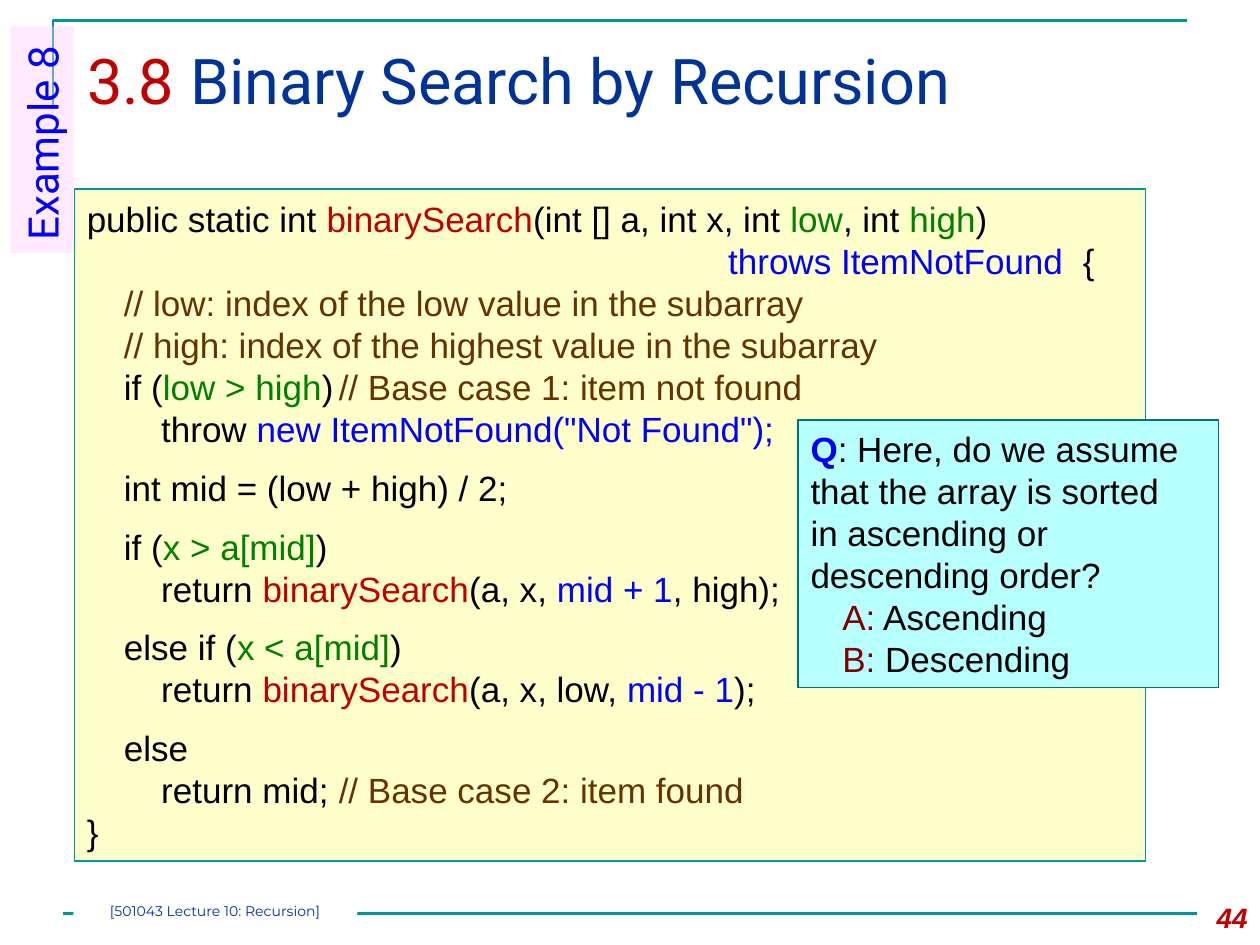
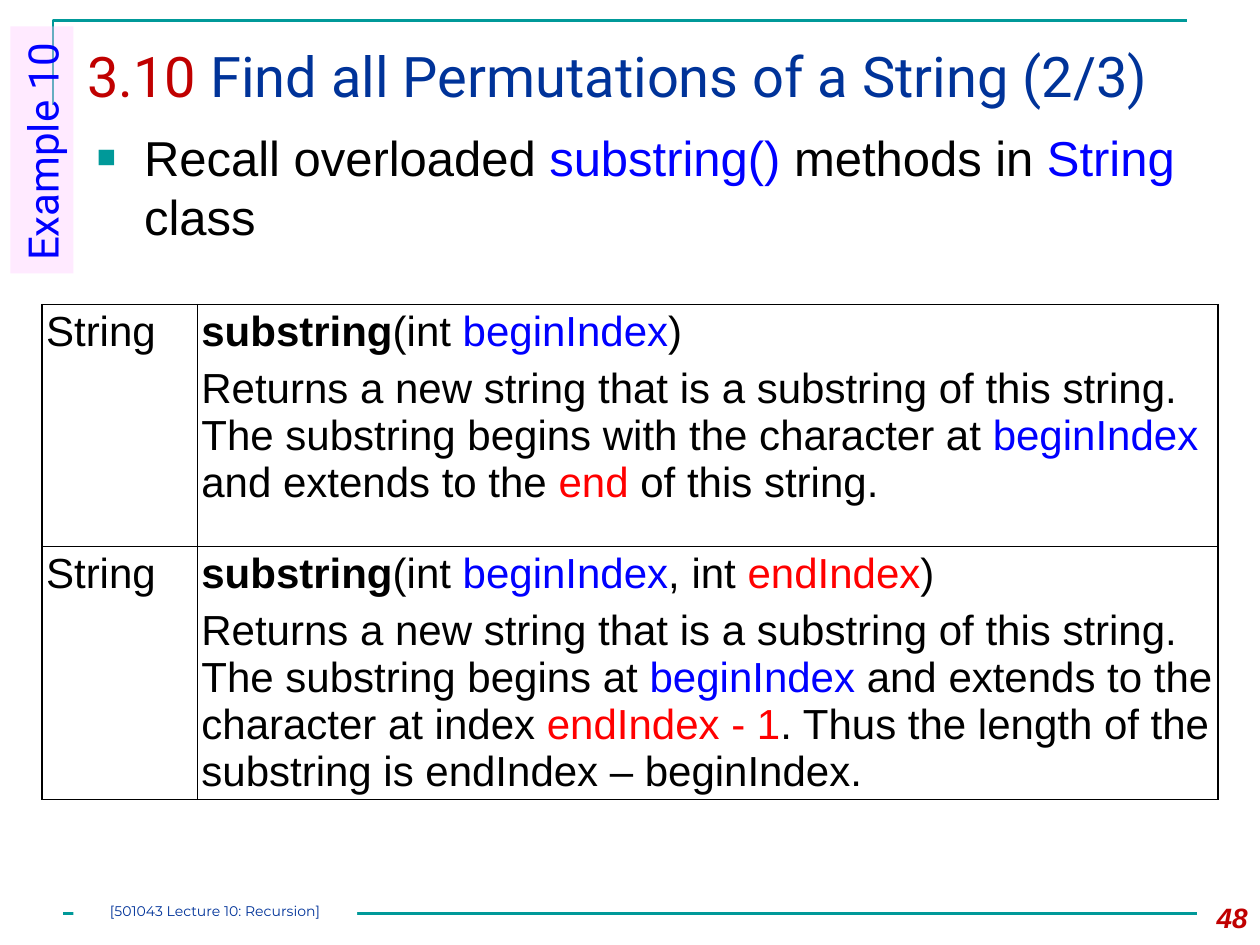
from dataclasses import dataclass

from lxml import etree
from pptx import Presentation
from pptx.dml.color import RGBColor
from pptx.enum.shapes import MSO_CONNECTOR, MSO_SHAPE
from pptx.enum.text import MSO_ANCHOR, MSO_AUTO_SIZE, PP_ALIGN
from pptx.oxml.ns import qn
from pptx.util import Cm, Pt

LEFT, RIGHT, CENTER = PP_ALIGN.LEFT, PP_ALIGN.RIGHT, PP_ALIGN.CENTER
TOP, MIDDLE = MSO_ANCHOR.TOP, MSO_ANCHOR.MIDDLE
NO_AUTOSIZE = MSO_AUTO_SIZE.NONE
RECTANGLE = MSO_SHAPE.RECTANGLE
STRAIGHT = MSO_CONNECTOR.STRAIGHT


@dataclass(frozen=True)
class Theme:
    black: str = "000000"
    white: str = "FFFFFF"
    teal: str = "009999"
    dark_teal: str = "007373"
    navy: str = "003399"
    crimson: str = "C00000"
    maroon: str = "800000"
    red: str = "FF0000"
    blue: str = "0000FF"
    green: str = "008000"
    brown: str = "663300"
    cream: str = "FFFFCC"
    aqua: str = "B8FFFF"
    pink: str = "FFCCFF"
    heading_font: str = "Roboto"
    body_font: str = "Arial"
    footer_font: str = "Montserrat"
    title_size: float = 36
    long_title_size: float = 32
    bullet_size: float = 28
    label_size: float = 24
    code_size: float = 20
    number_size: float = 16
    footer_size: float = 8
    bullet_spacing: float = 33.7
    table_spacing: float = 26.75
    code_spacing: float = 24
    code_gap: float = 9.6
    rule_width: float = 1.5
    outline_width: float = 0.75
    border_width: float = 1


THEME = Theme()
BOLD = {"bold": True}
CODE_TABS = (0.75, 1.5, 5.08)
THROWS_TABS = (12.93, 20.08)
GAP = {"space_before": Pt(THEME.code_gap)}
FOOTER = "[501043 Lecture 10: Recursion]"

CODE = [
    (["public static int ", ("binarySearch", THEME.crimson), "(int [] a, int x, int ",
      ("low", THEME.green), ", int ", ("high", THEME.green), ")"], {}),
    ([("\tthrows ItemNotFound", THEME.blue), "\t{"], {"tabs": THROWS_TABS}),
    ([("\t// low: index of the low value in the subarray", THEME.brown)], {}),
    ([("\t// high: index of the highest value in the subarray", THEME.brown)], {}),
    (["\tif (", ("low > high", THEME.green), ")",
      ("\t// Base case 1: item not found", THEME.brown)], {}),
    (["\t\tthrow ", ('new ItemNotFound("Not Found");', THEME.blue)], {}),
    (["\tint mid = (low + high) / 2;"], GAP),
    (["\tif (", ("x > a[mid]", THEME.green), ")"], GAP),
    (["\t\treturn ", ("binarySearch", THEME.crimson), "(a, x, ",
      ("mid + 1", THEME.blue), ", high);"], {}),
    (["\telse if (", ("x < a[mid]", THEME.green), ")"], GAP),
    (["\t\treturn ", ("binarySearch", THEME.crimson), "(a, x, low, ",
      ("mid - 1", THEME.blue), ");"], {}),
    (["\telse"], GAP),
    (["\t\treturn mid;", ("\t// Base case 2: item found", THEME.brown)], {}),
    (["}"], {}),
]

QUESTION = [
    ([("Q", THEME.blue, BOLD), ": Here, do we assume that the array is sorted", "\n",
      "in ascending or descending order?"], {}),
    ([("\tA:", THEME.maroon), " Ascending"], {}),
    ([("\tB:", THEME.maroon), " Descending"], {}),
]

AFTER = {"space_after": Pt(6)}
RETURNS = "Returns a new string that is a substring of this string. The substring begins "
RETURN_TYPE = [(["String"], {})]
METHODS = [
    [
        RETURN_TYPE,
        [([("substring", THEME.black, BOLD), "(int ", ("beginIndex", THEME.blue), ")"], AFTER),
         ([RETURNS + "with the character at ", ("beginIndex ", THEME.blue),
           "and extends to the ", ("end ", THEME.red), "of this string."], AFTER)],
    ],
    [
        RETURN_TYPE,
        [([("substring", THEME.black, BOLD), "(int ", ("beginIndex", THEME.blue), ", int ",
           ("endIndex", THEME.red), ")"], AFTER),
         ([RETURNS + "at ", ("beginIndex", THEME.blue),
           " and extends to the character at index ", ("endIndex - 1", THEME.red),
           ". Thus the length of the substring is endIndex – beginIndex."], AFTER)],
    ],
]


def apply(target, formats):
    for name, value in formats.items():
        setattr(target, name, value)


def box(left, top, width, height):
    return dict(zip(("left", "top", "width", "height"), map(Cm, (left, top, width, height))))


def margins(size):
    return {f"margin_{side}": Cm(size) for side in ("left", "top", "right", "bottom")}


class SlideBuilder:
    def __init__(self, presentation, theme):
        self.presentation = presentation
        self.theme = theme
        self.slide = None

    def start(self, layout, number, title, title_size):
        theme = self.theme
        self.slide = self.presentation.slides.add_slide(
            self.presentation.slide_layouts[layout])
        self.frame()
        self.title(title, title_size)
        self.text_box(box(23.7, 18.03, 1.7, 1.02), [([str(number)], {"alignment": RIGHT})],
                      theme.number_size, theme.crimson, {"bold": True, "italic": True})

    def finish(self, example, tag_length):
        self.example_tag(example, tag_length)
        self.footer()

    def frame(self):
        theme = self.theme
        builder = self.slide.shapes.build_freeform(Cm(1.07), Cm(2.12))
        builder.add_line_segments([(Cm(1.07), Cm(0.42)), (Cm(23.93), Cm(0.42))], close=False)
        corner = builder.convert_to_shape()
        corner.shadow.inherit = False
        corner.fill.background()
        rule = self.slide.shapes.add_connector(
            STRAIGHT, Cm(1.27), Cm(18.42), Cm(24.13), Cm(18.42))
        for shape in (corner, rule):
            self.outline(shape, theme.teal, theme.rule_width)
        etree.SubElement(rule.element.spPr, qn("a:effectLst"))

    def outline(self, shape, color, width):
        shape.line.color.rgb = RGBColor.from_string(color)
        shape.line.width = Pt(width)

    def title(self, runs, size):
        theme = self.theme
        title = self.slide.shapes.title
        apply(title, box(1.5, 0.7, 23.5, 2.18))
        apply(title.text_frame, {"vertical_anchor": TOP, "auto_size": NO_AUTOSIZE})
        self.fill_text(title.text_frame, [(runs, {})], size, theme.navy,
                       {"name": theme.heading_font})

    def text_box(self, place, paragraphs, size, color, font):
        shape = self.slide.shapes.add_textbox(**place)
        shape.text_frame.word_wrap = True
        self.fill_text(shape.text_frame, paragraphs, size, color, font)

    def panel(self, place, paragraphs, fill, size, color=None, outline=None,
              font=None, frame=None, **paragraph_formats):
        shape = self.slide.shapes.add_shape(RECTANGLE, **place)
        shape.shadow.inherit = False
        shape.fill.solid()
        shape.fill.fore_color.rgb = RGBColor.from_string(fill)
        if outline:
            self.outline(shape, outline, self.theme.outline_width)
        else:
            shape.line.fill.background()
        apply(shape.text_frame, {"word_wrap": True, "vertical_anchor": TOP, **(frame or {})})
        self.fill_text(shape.text_frame, paragraphs, size, color, font, **paragraph_formats)
        return shape

    def example_tag(self, text, length):
        theme = self.theme
        width, top, left = 1.27, 0.53, 0.21
        place = box(left + (width - length) / 2, top + (length - width) / 2, length, width)
        tag = self.panel(place, [([text], {})], theme.pink, theme.label_size, theme.blue,
                         font={"name": theme.heading_font})
        tag.rotation = 270
        color = tag.element.spPr.find(qn("a:solidFill")).find(qn("a:srgbClr"))
        etree.SubElement(color, qn("a:alpha"), val="40000")

    def footer(self):
        theme = self.theme
        self.panel(box(1.48, 18.2, 5.72, 0.44), [([FOOTER], {"alignment": CENTER})],
                   theme.white, theme.footer_size, theme.navy,
                   font={"name": theme.footer_font}, frame=margins(0))

    def bullets(self, place, paragraphs):
        theme = self.theme
        body = self.slide.placeholders[1]
        apply(body, place)
        apply(body.text_frame, {"vertical_anchor": TOP, "auto_size": NO_AUTOSIZE})
        self.fill_text(body.text_frame, paragraphs, theme.bullet_size,
                       line_spacing=Pt(theme.bullet_spacing), space_before=Pt(0))
        for paragraph in body.text_frame.paragraphs:
            properties = paragraph._p.get_or_add_pPr()
            properties.set("marL", str(Cm(0.95)))
            properties.set("indent", str(-Cm(0.95)))
            color = etree.SubElement(properties, qn("a:buClr"))
            etree.SubElement(color, qn("a:srgbClr"), val=theme.teal)
            etree.SubElement(properties, qn("a:buSzPct"), val="65000")
            etree.SubElement(properties, qn("a:buFont"), typeface=theme.body_font)
            etree.SubElement(properties, qn("a:buChar"), char="■")

    def table(self, place, rows, widths, heights):
        theme = self.theme
        table = self.slide.shapes.add_table(len(rows), len(widths), **place).table
        apply(table, {"first_row": False, "horz_banding": False})
        for column, width in zip(table.columns, widths):
            column.width = Cm(width)
        for row, height, contents in zip(table.rows, heights, rows):
            row.height = Cm(height)
            for cell, paragraphs in zip(row.cells, contents):
                apply(cell, margins(0.08))
                self.borders(cell)
                cell.fill.background()
                self.fill_text(cell.text_frame, paragraphs, theme.label_size,
                               line_spacing=Pt(theme.table_spacing))

    def borders(self, cell):
        properties = cell._tc.get_or_add_tcPr()
        for side in ("lnL", "lnR", "lnT", "lnB"):
            line = etree.SubElement(properties, qn(f"a:{side}"),
                                    w=str(Pt(self.theme.border_width)))
            fill = etree.SubElement(line, qn("a:solidFill"))
            etree.SubElement(fill, qn("a:srgbClr"), val=self.theme.black)

    def fill_text(self, text_frame, paragraphs, size, color=None, font=None, tabs=(), **shared):
        base = {"name": self.theme.body_font, "size": Pt(size), "bold": False, **(font or {})}
        for index, (runs, own) in enumerate(paragraphs):
            paragraph = text_frame.add_paragraph() if index else text_frame.paragraphs[0]
            formats = {"alignment": LEFT, "tabs": tabs, **shared, **own}
            stops = formats.pop("tabs")
            apply(paragraph, formats)
            if stops:
                tab_list = etree.SubElement(paragraph._p.get_or_add_pPr(), qn("a:tabLst"))
                for stop in stops:
                    etree.SubElement(tab_list, qn("a:tab"), pos=str(Cm(stop)), algn="l")
            for item in runs:
                if item == "\n":
                    paragraph.add_line_break()
                    continue
                text, run_color, extra = (
                    (item, None, {}) if isinstance(item, str) else (*item, {})[:3])
                run = paragraph.add_run()
                run.text = text
                apply(run.font, {**base, **extra})
                run.font.color.rgb = RGBColor.from_string(
                    run_color or color or self.theme.black)


def binary_search_slide(builder):
    theme = builder.theme
    builder.start(5, 44, [("3.8 ", theme.crimson), "Binary Search by Recursion"],
                  theme.title_size)
    code_style = {"line_spacing": Pt(theme.code_spacing), "frame": {"vertical_anchor": MIDDLE}}
    builder.panel(box(1.5, 3.81, 21.59, 13.55), CODE, theme.cream, theme.code_size,
                  outline=theme.teal, tabs=CODE_TABS, **code_style)
    builder.panel(box(16.09, 8.47, 8.47, 5.39), QUESTION, theme.aqua, theme.code_size,
                  outline=theme.dark_teal, tabs=(0.64,), **code_style)
    builder.finish("Example 8", 4.57)


def permutations_slide(builder):
    theme = builder.theme
    builder.start(1, 48, [("3.10 ", theme.crimson), "Find all Permutations of a String (2/3)"],
                  theme.long_title_size)
    builder.bullets(box(1.7, 2.44, 22.43, 2.96), [
        (["Recall overloaded ", ("substring() ", theme.blue), "methods in ",
          ("String", theme.blue), " class"], {})])
    builder.table(box(0.85, 6.14, 23.7, 9.96), METHODS, (3.13, 20.57), (4.88, 5.08))
    builder.finish("Example 10", 4.98)


def main():
    presentation = Presentation()
    apply(presentation, {"slide_width": Cm(25.4), "slide_height": Cm(19.05)})
    builder = SlideBuilder(presentation, THEME)
    binary_search_slide(builder)
    permutations_slide(builder)
    presentation.save("out.pptx")


if __name__ == "__main__":
    main()
